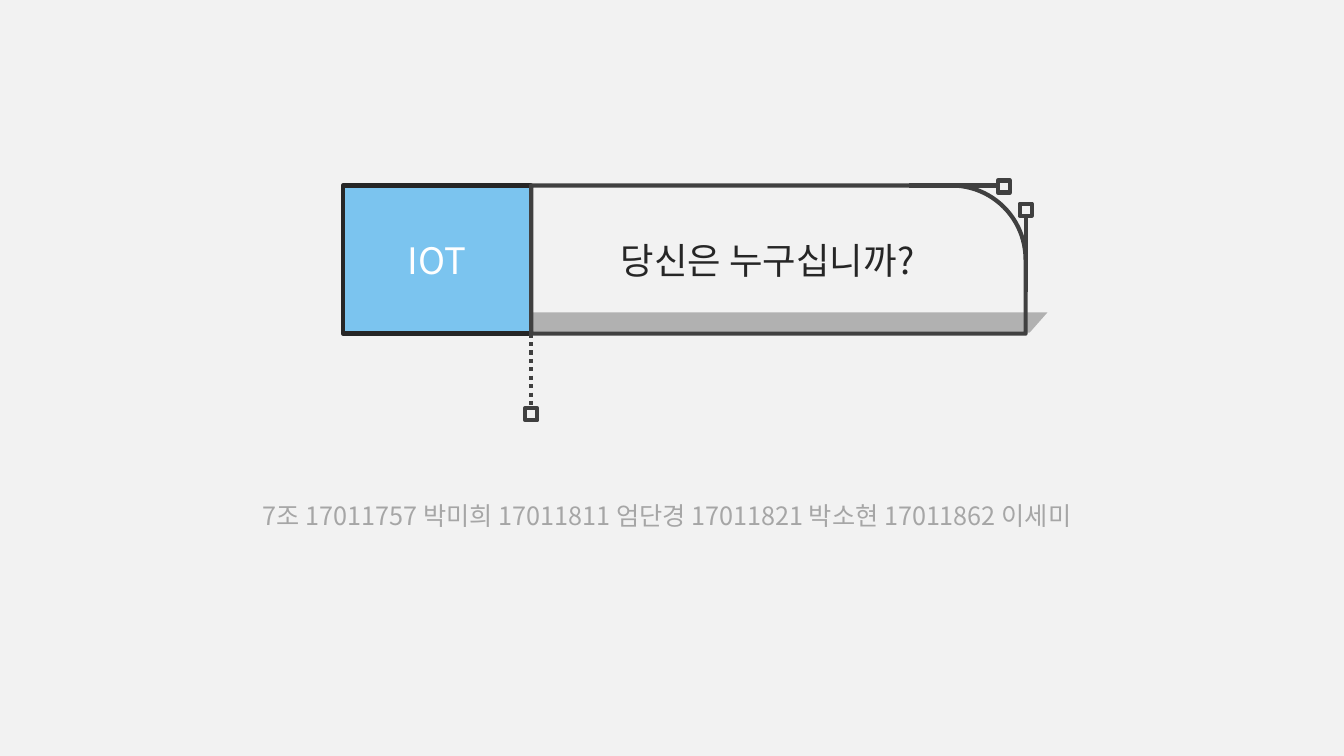
from lxml.etree import SubElement
from pptx import Presentation
from pptx.dml.color import RGBColor
from pptx.enum.dml import MSO_LINE
from pptx.enum.shapes import MSO_CONNECTOR, MSO_SHAPE
from pptx.enum.text import MSO_ANCHOR, MSO_AUTO_SIZE, PP_ALIGN
from pptx.oxml.ns import qn
from pptx.util import Inches, Pt

COLORS = {
    "background": "F2F2F2",
    "label": "7BC4EF",
    "shade": "808080",
    "ink": "262626",
    "outline": "404040",
    "white": "FFFFFF",
    "muted": "A6A6A6",
}
COLUMNS, ROWS = 160, 90


class Cover:
    font_name = "Noto Sans CJK KR"
    line_width = 3
    marker_size = 1.44

    def __init__(self, deck):
        self.column = deck.slide_width / COLUMNS
        self.row = deck.slide_height / ROWS
        self.slide = deck.slides.add_slide(deck.slide_layouts[5])
        self.paint(self.slide.background.fill, "background")

    def place(self, left, top, width, height):
        return (round(left * self.column), round(top * self.row),
                round(width * self.column), round(height * self.row))

    def paint(self, fill, color):
        fill.solid()
        fill.fore_color.rgb = RGBColor.from_string(COLORS[color])

    def stroke(self, line, color):
        self.paint(line.fill, color)
        line.width = Pt(self.line_width)

    def set_text(self, frame, text, size, color, align, anchor):
        frame.text = text
        frame.word_wrap = True
        frame.vertical_anchor = anchor
        paragraph = frame.paragraphs[0]
        paragraph.alignment = align
        for run in paragraph.runs:
            run.font.size = Pt(size)
            run.font.name = self.font_name
            run.font.color.rgb = RGBColor.from_string(COLORS[color])
            east_asian = SubElement(run.font._element, qn("a:ea"))
            east_asian.set("typeface", self.font_name)
        return paragraph

    def panel(self, kind, box, fill=None, outline=None, adjustment=None, alpha=None):
        panel = self.slide.shapes.add_shape(kind, *self.place(*box))
        panel.shadow.inherit = False
        if adjustment is not None:
            panel.adjustments[0] = adjustment
        if fill:
            self.paint(panel.fill, fill)
        else:
            panel.fill.background()
        if outline:
            self.stroke(panel.line, outline)
        else:
            panel.line.fill.background()
        if alpha is not None:
            tint = panel.fill._xPr.find(qn("a:solidFill"))[0]
            SubElement(tint, qn("a:alpha")).set("val", str(alpha * 1000))
        return panel

    def label(self, box, text, fill, outline):
        label = self.panel(MSO_SHAPE.RECTANGLE, box, fill, outline)
        self.set_text(label.text_frame, text, 26, "white",
                      PP_ALIGN.CENTER, MSO_ANCHOR.MIDDLE)

    def title(self, box, text):
        title = self.slide.shapes.title
        title.left, title.top, title.width, title.height = self.place(*box)
        title.text_frame.auto_size = MSO_AUTO_SIZE.NONE
        self.set_text(title.text_frame, text, 26, "ink",
                      PP_ALIGN.CENTER, MSO_ANCHOR.MIDDLE)

    def handle(self, start, end, center, dash=None):
        stem = self.slide.shapes.add_connector(
            MSO_CONNECTOR.STRAIGHT, *self.place(*start, *end))
        SubElement(stem._element.spPr, qn("a:effectLst"))
        self.stroke(stem.line, "outline")
        if dash:
            stem.line.dash_style = dash
        size = self.marker_size
        corner = [middle - size / 2 for middle in center]
        self.panel(MSO_SHAPE.RECTANGLE, (*corner, size, size), outline="outline")

    def credits(self, box, text):
        credits = self.slide.shapes.add_textbox(*self.place(*box))
        paragraph = self.set_text(credits.text_frame, text, 18, "muted",
                                  PP_ALIGN.LEFT, MSO_ANCHOR.TOP)
        paragraph.line_spacing = 2.0


def main():
    deck = Presentation()
    deck.slide_width, deck.slide_height = Inches(13.33), Inches(7.5)
    cover = Cover(deck)

    left, divider, right = 40.8, 63.24, 122.1
    top, height = 22.08, 17.64
    bottom = top + height

    cover.panel(MSO_SHAPE.PARALLELOGRAM, (left, 37.2, 83.9, 2.4),
                fill="shade", adjustment=0.88, alpha=57)
    cover.label((left, top, divider - left, height), "IOT", "label", "ink")
    cover.panel(MSO_SHAPE.ROUND_1_RECTANGLE, (divider, top, right - divider, height),
                outline="outline", adjustment=0.5)
    cover.title((divider, top, 56.3, height), "당신은 누구십니까?")

    cover.handle((108.24, top), (118.56, top), (119.52, 22.2))
    cover.handle((right, 34.8), (right, 25.8), (right, 24.96))
    cover.handle((divider, bottom), (divider, 48.6), (divider, 49.32),
                 MSO_LINE.ROUND_DOT)

    cover.credits((30.12, 55.32, 105.24, 7.32),
                  "7조 17011757 박미희 17011811 엄단경 17011821 박소현 17011862 이세미")
    deck.save("out.pptx")


if __name__ == "__main__":
    main()
